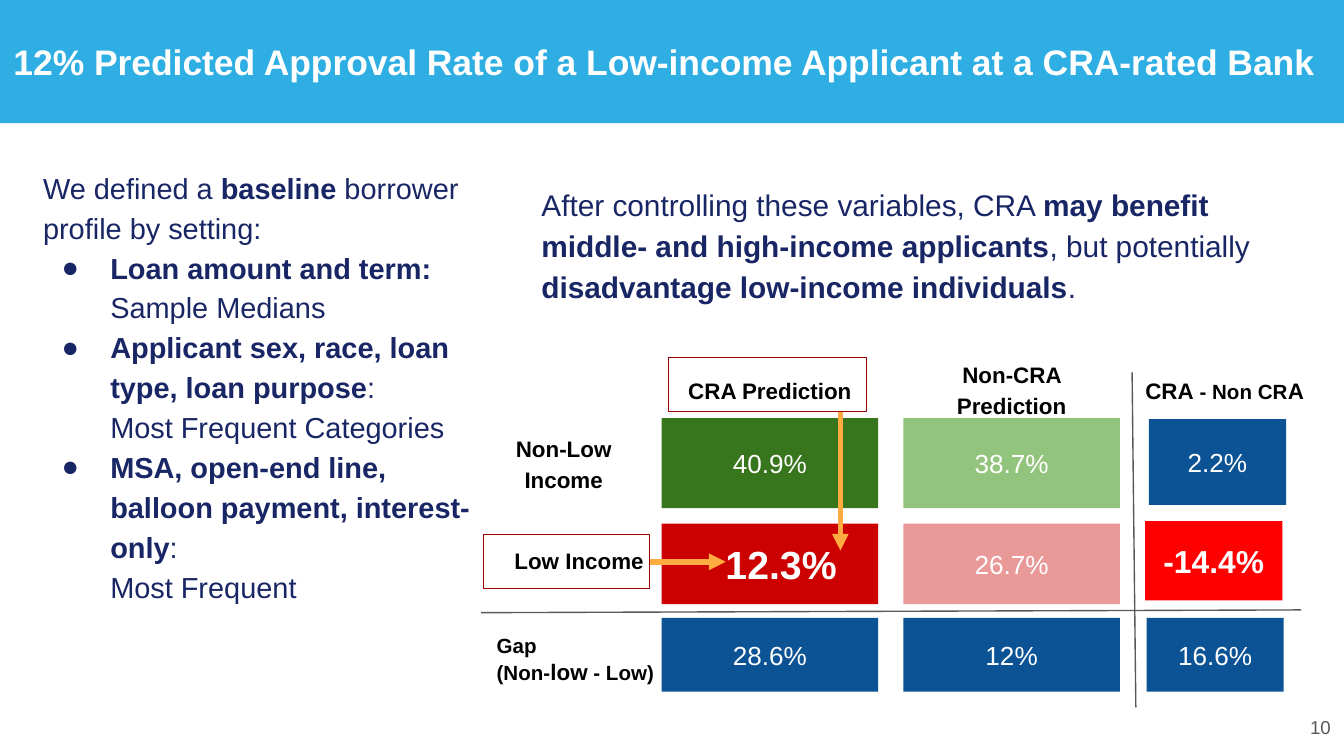
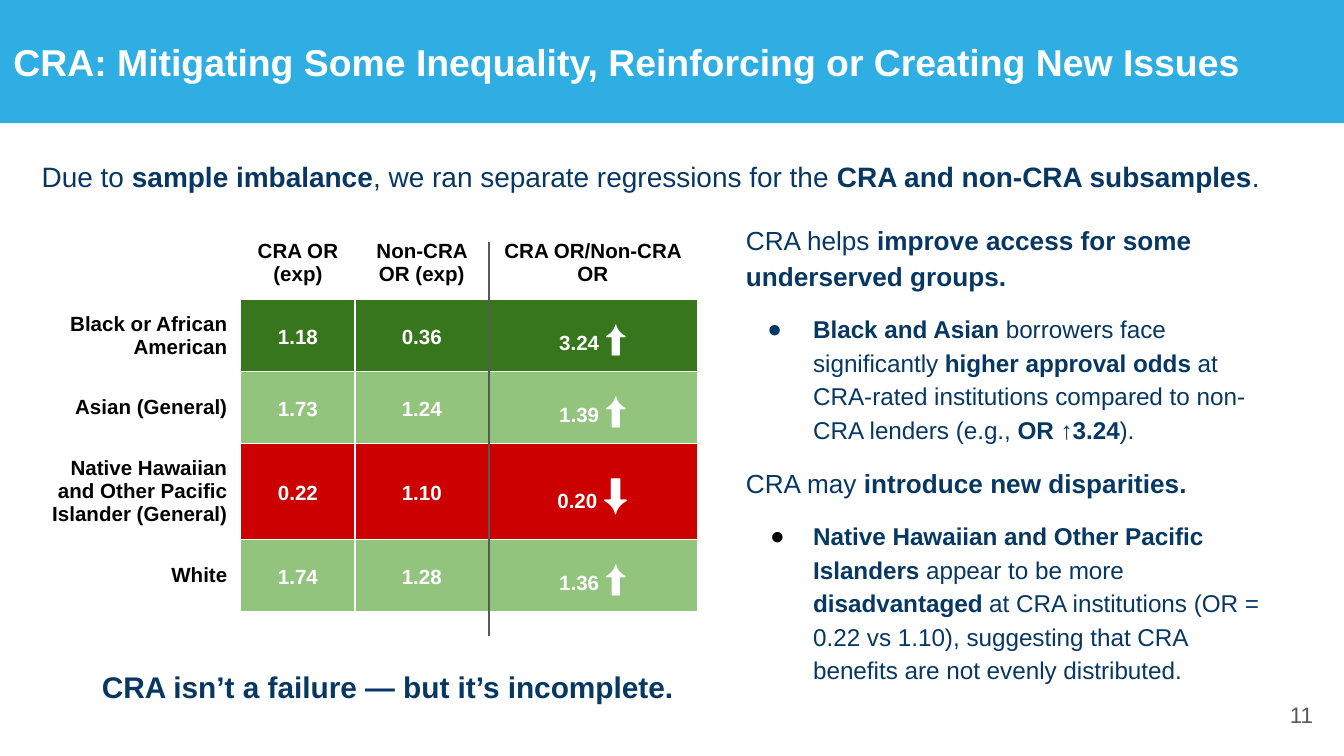
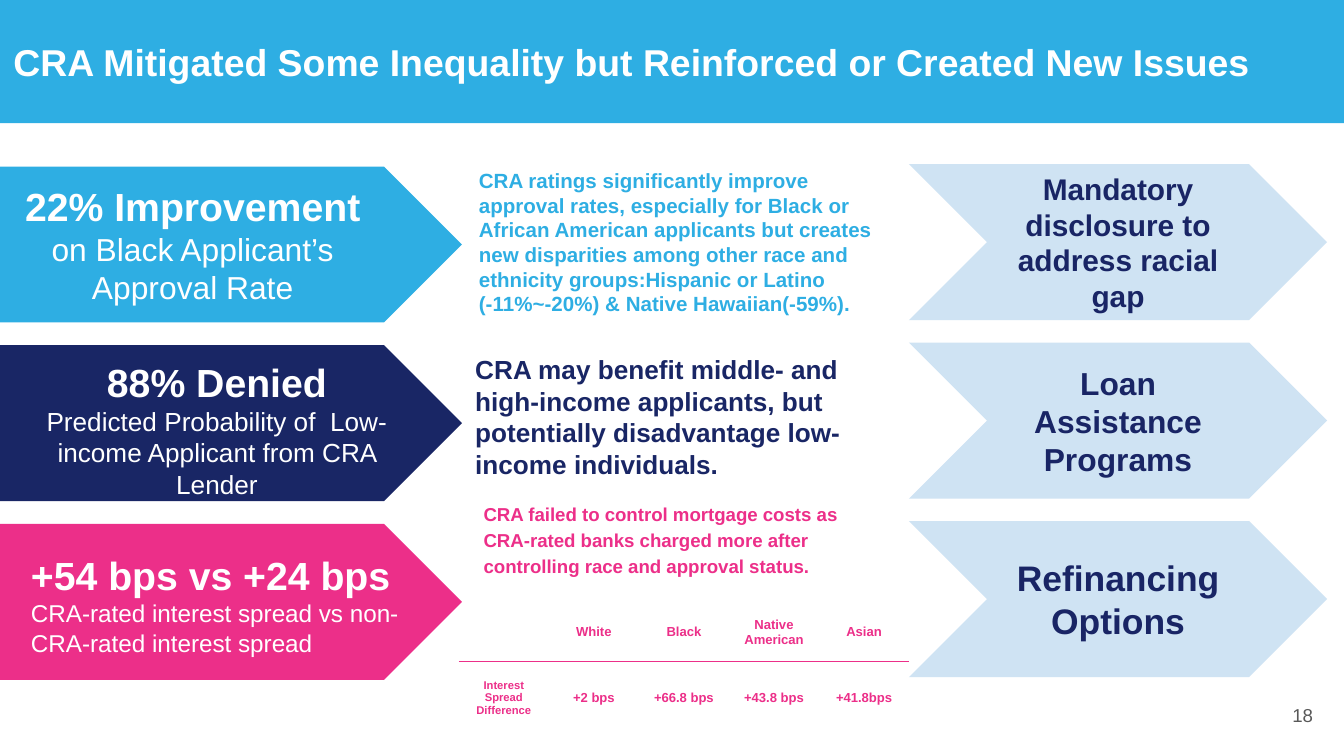
import pptx
import pptx.dml.color
import pptx.enum.shapes
import pptx.enum.text
import pptx.oxml.ns
import pptx.util
from lxml import etree

Pt = pptx.util.Pt
SHAPE = pptx.enum.shapes.MSO_SHAPE
ALIGN = pptx.enum.text.PP_ALIGN
ANCHOR = pptx.enum.text.MSO_ANCHOR
qn = pptx.oxml.ns.qn

FONT = "Arial"
SKY, NAVY, PINK, INK = "2EAEE3", "192665", "EC2F89", "073763"
PALE, CHEVRON_INK = "CFE3F3", "192565"
WHITE, BLACK, GREY = "FFFFFF", "000000", "595959"
GREEN, LIGHT_GREEN, RED, LIGHT_RED = "38761D", "93C47D", "CC0000", "EA9999"
BLUE, BRIGHT_RED, DARK_RED, ORANGE = "0B5394", "FF0000", "990000", "FFAB40"
ALIGNS = {"l": ALIGN.LEFT, "c": ALIGN.CENTER, "r": ALIGN.RIGHT}
PLAIN_TABLE = "{2D5ABB26-0587-4C30-8999-92F81FD0307C}"
WIDTH, HEIGHT, BAND = 720, 405, 66
PAD, SLIM = 7.2, 3.6


def rgb(color):
    return pptx.dml.color.RGBColor.from_string(color)


def set_all(obj, values):
    for name, value in values.items():
        setattr(obj, name, value)


def place(sp, x, y, w, h):
    set_all(sp, {"left": Pt(x), "top": Pt(y), "width": Pt(w), "height": Pt(h)})


def add_xml(parent, tag, **attrs):
    return etree.SubElement(parent, qn(tag), attrs)


def indent(p, left, bullet=None, hang=26):
    pPr = p._p.get_or_add_pPr()
    pPr.set("marL", str(Pt(left)))
    pPr.set("indent", str(Pt(-hang if bullet else 0)))
    if bullet:
        add_xml(add_xml(pPr, "a:buClr"), "a:srgbClr", val=bullet)
        add_xml(pPr, "a:buFont", typeface=FONT)
        add_xml(pPr, "a:buChar", char="●")


def write(tf, paras, pad=PAD, right=PAD, anchor=ANCHOR.TOP, **base):
    set_all(tf, {"word_wrap": True, "vertical_anchor": anchor,
                 "auto_size": pptx.enum.text.MSO_AUTO_SIZE.NONE,
                 "margin_left": Pt(PAD), "margin_right": Pt(right),
                 "margin_top": Pt(pad), "margin_bottom": Pt(pad)})
    for i, para in enumerate(paras):
        fill_paragraph(tf.add_paragraph() if i else tf.paragraphs[0], *para, **base)


def fill_paragraph(p, text, fmt=None, **base):
    f = {"size": 12, "color": BLACK, "bold": False, "align": "l", **base, **(fmt or {})}
    if "left" in f:
        indent(p, f["left"], f.get("bullet"), f.get("hang", 26))
    set_all(p, {"alignment": ALIGNS[f["align"]], "line_spacing": f.get("spacing"),
                "space_before": Pt(f.get("before", 0))})
    for chunk, size in text if isinstance(text, list) else [(text, f["size"])]:
        for i, part in enumerate(chunk.split("*")):
            if part:
                r = p.add_run()
                r.text = part
                set_all(r.font, {"name": FONT, "size": Pt(size), "bold": f["bold"] != bool(i % 2)})
                r.font.color.rgb = rgb(f["color"])


def add_text(s, box, *paras, **base):
    sp = s.shapes.add_textbox(0, 0, 0, 0)
    place(sp, *box)
    write(sp.text_frame, paras, **base)


def add_box(s, kind, box, fill=None, line=None):
    sp = s.shapes.add_shape(kind, *map(Pt, box))
    sp.shadow.inherit = False
    if fill:
        sp.fill.solid()
        sp.fill.fore_color.rgb = rgb(fill)
    else:
        sp.fill.background()
    if line:
        sp.line.color.rgb = rgb(line)
        sp.line.width = Pt(0.75)
    else:
        sp.line.fill.background()
    return sp


def add_line(s, x1, y1, x2, y2, color=GREY, width=0.75, arrow=False):
    sp = s.shapes.add_connector(pptx.enum.shapes.MSO_CONNECTOR.STRAIGHT, *map(Pt, (x1, y1, x2, y2)))
    sp.line.color.rgb = rgb(color)
    sp.line.width = Pt(width)
    if arrow:
        add_xml(sp.line._get_or_add_ln(), "a:tailEnd", type="triangle")
    add_xml(sp._element.spPr, "a:effectLst")


def add_border(cell, sides, color):
    tcPr = cell._tc.get_or_add_tcPr()
    for i, side in enumerate(sides):
        ln = etree.Element(qn("a:ln" + side), w=str(Pt(0.75)))
        add_xml(add_xml(ln, "a:solidFill"), "a:srgbClr", val=color)
        tcPr.insert(i, ln)


def add_table(s, x, y, widths, heights):
    frame = s.shapes.add_table(len(heights), len(widths), Pt(x), Pt(y), Pt(sum(widths)), Pt(sum(heights)))
    table = frame.table
    set_all(table, {"first_row": False, "horz_banding": False})
    table._tbl.tblPr.find(qn("a:tableStyleId")).text = PLAIN_TABLE
    for column, width in zip(table.columns, widths):
        column.width = Pt(width)
    for row, height in zip(table.rows, heights):
        row.height = Pt(height)
    return table


def fill_cell(cell, text, fill, **fmt):
    if fill:
        cell.fill.solid()
        cell.fill.fore_color.rgb = rgb(fill)
    else:
        cell.fill.background()
    if text:
        set_all(cell, {"vertical_anchor": ANCHOR.MIDDLE, "margin_left": Pt(PAD), "margin_right": Pt(PAD),
                       "margin_top": Pt(7), "margin_bottom": Pt(7)})
        fill_paragraph(cell.text_frame.paragraphs[0], text, bold=True, **fmt)


def new_slide(prs, title, number, title_size=20, number_size=10, number_at=(667.5, 367.5)):
    s = prs.slides.add_slide(prs.slide_layouts[5])
    sp = s.shapes.title
    place(sp, 0, 0, WIDTH, BAND)
    sp.fill.solid()
    sp.fill.fore_color.rgb = rgb(SKY)
    write(sp.text_frame, [(title,)], pad=SLIM, anchor=ANCHOR.MIDDLE, size=title_size, color=WHITE, bold=True)
    add_text(s, (*number_at, 43, 31), (number,), anchor=ANCHOR.MIDDLE,
             size=number_size, color=GREY, align="r")
    return s


def prediction_grid(s, x, y):
    columns = [(105.5, 116), (235, 116)]
    rows = [(40, 48.25), (96.5, 43.25), (147, 39.5)]
    differences = [(366.5, 40.5, 73.5, 46), (364.5, 95.25, 73.5, 42.5), (365.25, 147, 73.5, 39.5)]
    values = [
        [("40.9%", GREEN, 14), ("38.7%", LIGHT_GREEN, 14), ("2.2%", BLUE, 14)],
        [("12.3%", RED, 21), ("26.7%", LIGHT_RED, 14), ("-14.4%", BRIGHT_RED, 17)],
        [("28.6%", BLUE, 14), ("12%", BLUE, 14), ("16.6%", BLUE, 14)],
    ]
    for (dy, h), difference, row in zip(rows, differences, values):
        boxes = [(dx, dy, w, h) for dx, w in columns] + [difference]
        for (bx, by, bw, bh), (text, fill, size) in zip(boxes, row):
            sp = add_box(s, SHAPE.RECTANGLE, (x + bx, y + by, bw, bh), fill)
            write(sp.text_frame, [(text,)], anchor=ANCHOR.MIDDLE, align="c",
                  size=size, color=WHITE, bold=size > 14)
            if text == "12.3%":
                sp.text_frame.margin_left = Pt(19)

    centred = {"align": "c", "spacing": 1.15}
    labels = [
        ((105.5, 8.5, 116, 29), [("CRA Prediction", centred)]),
        ((235, 0, 116, 46), [("Non-CRA Prediction", centred)]),
        ((357.5, 8.5, 106, 29), [([("CRA", 12), (" - Non CR", 11), ("A", 12)], {"spacing": 1.15})]),
        ((0, 40, 106, 46), [("Non-Low Income", centred)]),
        ((19.5, 102, 85, 29), [("Low Income",)]),
        ((10, 148, 236, 42.5), [("Gap", {"size": 11}), ([("(Non-", 11), ("low", 12), (" - Low)", 11)],)]),
    ]
    for (dx, dy, w, h), paras in labels:
        add_text(s, (x + dx, y + dy, w, h), *paras, bold=True)

    for dx, dy, w, h in [(109.25, 7.5, 106, 29), (10, 102.25, 89, 29)]:
        add_box(s, SHAPE.RECTANGLE, (x + dx, y + dy, w, h), line=DARK_RED)
    add_line(s, x + 357.5, y + 15.5, x + 359.5, y + 195)
    add_line(s, x + 8.75, y + 144.25, x + 448, y + 142.75)
    for x1, y1, x2, y2 in [(201.25, 36.5, 201.25, 111), (99, 117, 139.75, 117)]:
        add_line(s, x + x1, y + y1, x + x2, y + y2, ORANGE, 3, True)


def approval_slide(prs):
    s = new_slide(prs, "12% Predicted Approval Rate of a Low-income Applicant at a CRA-rated Bank", "10",
                  title_size=19, number_at=(677, 374))
    item, follow = {"left": 36, "bullet": NAVY}, {"left": 36}
    add_text(s, (16, 81.25, 253, 256),
             ("We defined a *baseline* borrower profile by setting:",),
             ("*Loan amount and term:* Sample Medians", item),
             ("*Applicant sex, race, loan type, loan purpose*:", item),
             ("Most Frequent Categories", follow),
             ("*MSA, open-end line, balloon payment, interest-only*:", item),
             ("Most Frequent", follow),
             size=15.5, color=NAVY, spacing=1.15)
    add_text(s, (283, 89.75, 424, 78.5),
             ("After controlling these variables, CRA *may benefit middle- and high-income applicants*, "
              "but potentially *disadvantage low-income individuals*.",),
             size=16, color=NAVY, spacing=1.15)
    prediction_grid(s, 249, 184)


def odds_table(s, x, y):
    heads = ["", "CRA OR (exp)", "Non-CRA OR (exp)", "CRA OR/Non-CRA OR"]
    rows = [
        ("Black or African American", "1.18", "0.36", [("3.24 ", 11), ("⬆", 19)], GREEN),
        ("Asian (General)", "1.73", "1.24", [("1.39 ", 11), ("⬆", 19)], LIGHT_GREEN),
        ("Native Hawaiian and Other Pacific Islander (General)", "0.22", "1.10",
         [("0.20 ", 11), ("⬇", 22)], RED),
        ("White", "1.74", "1.28", [("1.36 ", 11), ("⬆", 19)], LIGHT_GREEN),
    ]
    table = add_table(s, x, y, [119, 61.25, 71.5, 111.75], [39, 38.5, 38.5, 51.5, 38.5])
    for c, head in enumerate(heads):
        fill_cell(table.cell(0, c), head, WHITE, size=11, align="c")
    for r, (label, *values, fill) in enumerate(rows, 1):
        fill_cell(table.cell(r, 0), label, WHITE, size=11, align="r")
        for c, value in enumerate(values, 1):
            fill_cell(table.cell(r, c), value, fill, size=11, align="c", color=WHITE, spacing=1.15)
    for cell in table.iter_cells():
        add_border(cell, "LRTB", WHITE)
    add_line(s, x + 252, y + 8, x + 252, y + 219)


def odds_slide(prs):
    s = new_slide(prs, "CRA: Mitigating Some Inequality, Reinforcing or Creating New Issues", "11",
                  number_size=12)
    odds_table(s, 10, 121.5)
    add_text(s, (47.5, 350.75, 407, 34), ("CRA isn’t a failure — but it’s incomplete.",),
             size=16, color=INK, bold=True)
    item = {"size": 13, "left": 36, "before": 10}
    add_text(s, (392.5, 110.25, 327.5, 264),
             ("CRA helps *improve access for some underserved groups.*",),
             ("*Black and Asian* borrowers face significantly* higher approval odds* at CRA-rated "
              "institutions compared to non-CRA lenders (e.g., *OR ↑3.24*).",
              {**item, "bullet": INK, "hang": 24.5}),
             ("CRA may *introduce new disparities.*", {"before": 10}),
             ("*Native Hawaiian and Other Pacific Islanders *appear to be more *disadvantaged *at CRA "
              "institutions (OR = 0.22 vs 1.10), suggesting that CRA benefits are not evenly distributed.",
              {**item, "bullet": BLACK, "hang": 23}),
             right=37, size=14, color=INK, spacing=1.15)
    add_text(s, (15.25, 78.5, 690, 32.5),
             ("Due to *sample imbalance*, we ran separate regressions for the* CRA and non-CRA subsamples*.",),
             size=15, color=INK)


def finding_plates(s, x, y, pitch):
    plates = [
        (SKY, (0, 5, 206.5, 74), "c", 0, "22% Improvement", "on Black Applicant’s Approval Rate", 17),
        (NAVY, (-0.75, 3.5, 222, 83.5), "c", 12, "88% Denied",
         "Predicted Probability of  Low-income Applicant from CRA Lender", 14),
        (PINK, (9.5, 11.25, 215, 55), "l", 0, "+54 bps vs +24 bps",
         "CRA-rated interest spread vs non-CRA-rated interest spread", 13),
    ]
    for i, (fill, (dx, dy, w, h), align, left, figure, note, size) in enumerate(plates):
        top = y + i * pitch
        add_box(s, SHAPE.PENTAGON, (x, top, 247.5, 83.5), fill)
        add_text(s, (x + dx, top + dy, w, h), (figure, {"size": 21, "bold": True}), (note, {"size": size}),
                 pad=SLIM, color=WHITE, align=align, left=left)


def policy_chevrons(s, x, y, pitch):
    policies = [("Mandatory disclosure to address racial gap", 16),
                ("Loan Assistance Programs", 17), ("Refinancing Options", 19)]
    for i, (text, size) in enumerate(policies):
        sp = add_box(s, SHAPE.CHEVRON, (x, y + i * pitch, 224, 83.5), PALE)
        write(sp.text_frame, [(text,)], anchor=ANCHOR.MIDDLE, align="c",
              size=size, color=CHEVRON_INK, bold=True)


def spread_table(s, x, y):
    rows = [["", "White", "Black", "Native American", "Asian"],
            ["Interest Spread Difference", "+2 bps", "+66.8 bps", "+43.8 bps", "+41.8bps"]]
    table = add_table(s, x, y, [48.25] * 5, [31, 39.5])
    for r, row in enumerate(rows):
        for c, text in enumerate(row):
            cell = table.cell(r, c)
            fill_cell(cell, text, None, size=6 if r and not c else 7, align="c", color=PINK)
            add_border(cell, "T" if r else "B", PINK)


def summary_slide(prs):
    s = new_slide(prs, "CRA Mitigated Some Inequality but Reinforced or Created New Issues", "18")
    finding_plates(s, 0, 89.25, 95.75)
    details = [
        ((201.5, 86.5, 280, 87), 11, SKY, {"left": 48},
         "CRA ratings significantly improve approval rates, especially for Black or African American "
         "applicants but creates new disparities among other race and ethnicity groups:Hispanic or Latino "
         "(-11%~-20%) & Native Hawaiian(-59%)."),
        ((247.5, 186, 229, 75), 14, NAVY, {},
         "CRA may benefit middle- and high-income applicants, but potentially disadvantage "
         "low-income individuals."),
        ((252, 264.25, 208, 73.5), 10, PINK, {"spacing": 1.15},
         "CRA failed to control mortgage costs as CRA-rated banks charged more after controlling race "
         "and approval status."),
    ]
    for box, size, color, fmt, text in details:
        add_text(s, box, (text, fmt), pad=SLIM, size=size, color=color, bold=True)
    spread_table(s, 245.75, 323.25)
    policy_chevrons(s, 487, 88, 95.6)


def main():
    prs = pptx.Presentation()
    set_all(prs, {"slide_width": Pt(WIDTH), "slide_height": Pt(HEIGHT)})
    for build in (approval_slide, odds_slide, summary_slide):
        build(prs)
    prs.save("out.pptx")


if __name__ == "__main__":
    main()
